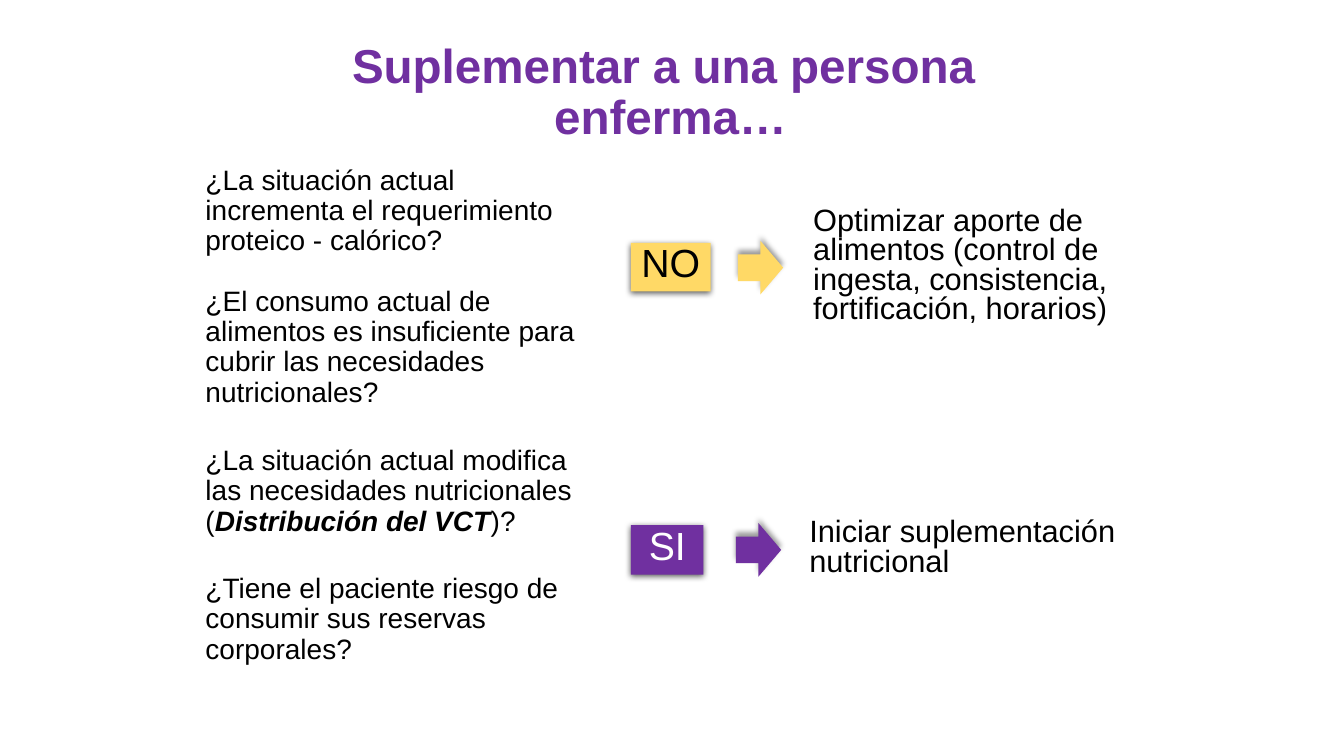
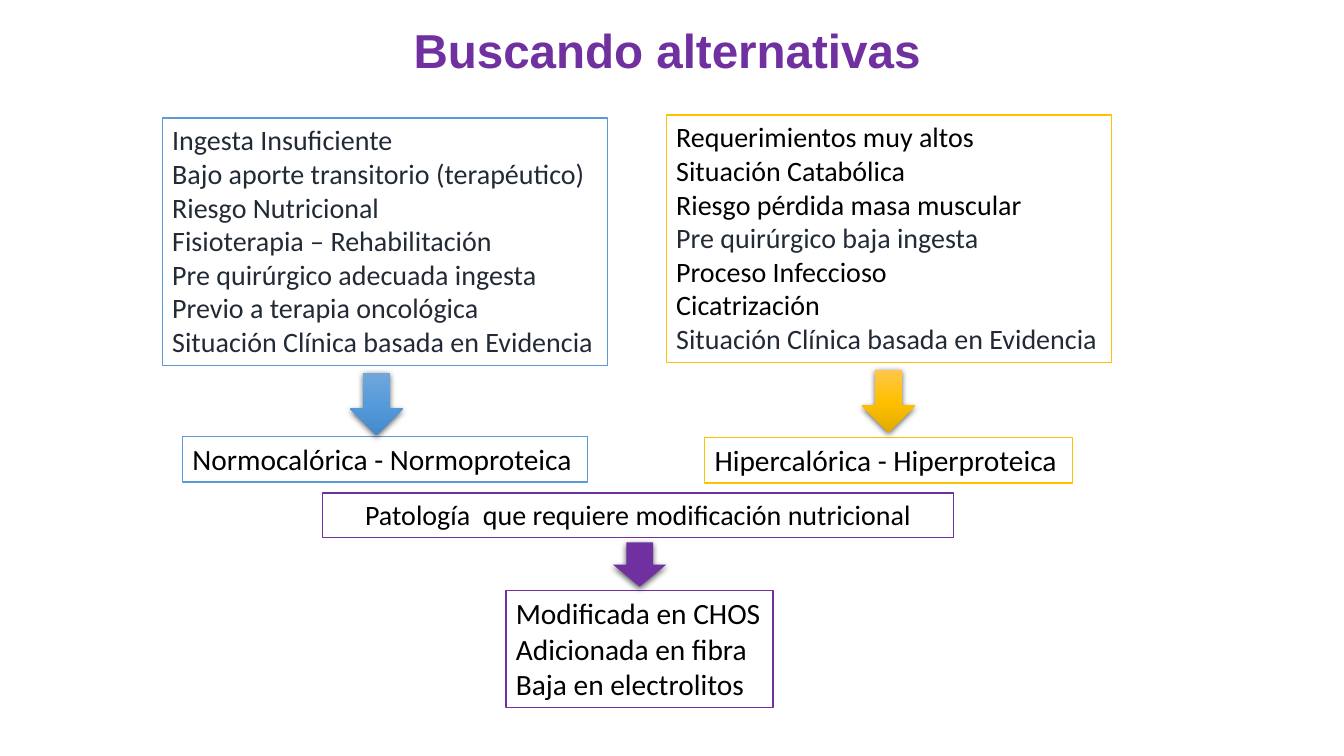
from pptx import Presentation
from pptx.dml.color import RGBColor
from pptx.enum import shapes, text
from pptx.oxml import parse_xml
from pptx.oxml.ns import nsdecls, qn
from pptx.util import Pt

PURPLE, YELLOW, BLUE, GOLD = "7030A0", "FFD966", "5B9BD5", "FFC000"
BLACK, WHITE, DARK = "000000", "FFFFFF", "222A35"
LEFT, MID = text.PP_ALIGN.LEFT, text.PP_ALIGN.CENTER
RECT = shapes.MSO_SHAPE.RECTANGLE
RIGHT = shapes.MSO_SHAPE.RIGHT_ARROW
DOWN = shapes.MSO_SHAPE.DOWN_ARROW

TITLE = dict(name="Arial", size=Pt(34), bold=True)
ASK = dict(name="Arial", size=Pt(20))
REPLY = dict(name="Arial", size=Pt(22))
TAG = dict(name="Arial", size=Pt(28))
LIST = dict(name="Calibri", size=Pt(20))
DIET = dict(name="Calibri", size=Pt(21))
STRONG = dict(bold=True, italic=True)

DROP = (63, 4.5, 1.5, 90)
RISE = (40, 4, 3, 270)

ASKS = [
    (115.2, 73.4, [("¿La situación actual incrementa el requerimiento proteico - calórico?", {})]),
    (201.6, 94.3, [("¿El consumo actual de alimentos es insuficiente para cubrir "
                    "las necesidades nutricionales?", {})]),
    (315.4, 73.4, [("¿La situación actual modifica las necesidades nutricionales (", {}),
                   ("Distribución del VCT", STRONG), (")?", {})]),
    (406.8, 73.4, [("¿Tiene el paciente riesgo de consumir sus reservas corporales?", {})]),
]

PATHS = [
    dict(tag="NO", fill=YELLOW, ink=BLACK, box=(450.7, 173.5, 56.9, 34.6),
         arrow=(527, 172.1), out=(573.8, 144.7, 244.1, 93.6),
         reply="Optimizar aporte de alimentos (control de ingesta, consistencia, "
               "fortificación, horarios)"),
    dict(tag="SI", fill=PURPLE, ink=WHITE, box=(450.7, 375.1, 51.8, 35.3),
         arrow=(525.6, 373.7), out=(571, 367.2, 244.1, 51.1),
         reply="Iniciar suplementación nutricional"),
]

FLOWS = [
    dict(line=BLUE, fill=("71A6DB", "559BDB", "448ACA"), align=LEFT, ink=DARK,
         top=(115.9, 84.2, 318.2, 177.1), arrow=(249.8, 266.4, 38.2, 44.6),
         end=(130.3, 311.8, 289.4, 32.4),
         needs=["Ingesta Insuficiente", "Bajo aporte transitorio (terapéutico)",
                "Riesgo Nutricional", "Fisioterapia – Rehabilitación",
                "Pre quirúrgico adecuada ingesta", "Previo a terapia oncológica",
                "Situación Clínica basada en Evidencia"],
         diets=["Normocalórica - Normoproteica"]),
    dict(line=GOLD, fill=("FFC64B", "FFC000", "E3AB00"), align=LEFT, ink=BLACK,
         top=(475.9, 82.1, 318.2, 177.1), arrow=(615.6, 264.2, 38.2, 44.6),
         end=(503.3, 312.5, 262.8, 32.4),
         needs=["Requerimientos muy altos", "Situación Catabólica",
                "Riesgo pérdida masa muscular", ("Pre quirúrgico baja ingesta", DARK),
                "Proceso Infeccioso", "Cicatrización",
                ("Situación Clínica basada en Evidencia", DARK)],
         diets=["Hipercalórica - Hiperproteica"]),
    dict(line=PURPLE, fill=PURPLE, align=MID, ink=BLACK,
         top=(230.4, 352.1, 450.7, 31.7), arrow=(437.8, 387.4, 38.2, 31.7),
         end=(361.4, 421.9, 190.8, 83.5),
         needs=["Patología  que requiere modificación nutricional"],
         diets=["Modificada en CHOS", "Adicionada en fibra", "Baja en electrolitos"]),
]


def color(code):
    return RGBColor.from_string(code)


def pts(box):
    return [Pt(v) for v in box]


def write(frame, paras, look, ink, align=LEFT, gap=1.0):
    frame.word_wrap = True
    frame.auto_size = text.MSO_AUTO_SIZE.NONE
    frame.vertical_anchor = text.MSO_ANCHOR.TOP
    for i, runs in enumerate(paras):
        para = frame.add_paragraph() if i else frame.paragraphs[0]
        para.alignment, para.line_spacing = align, gap
        para.space_before = Pt(0)
        for words, extra in runs:
            run = para.add_run()
            run.text = words
            for key, val in {**look, **extra}.items():
                setattr(run.font, key, val)
            run.font.color.rgb = color(ink)


def blend(shape, codes):
    shape.fill.gradient()
    old = shape._element.spPr.find(qn("a:gradFill"))
    stops = "".join(f'<a:gs pos="{i * 50000}"><a:srgbClr val="{c}"/></a:gs>'
                    for i, c in enumerate(codes))
    new = parse_xml(f'<a:gradFill {nsdecls("a")} rotWithShape="1"><a:gsLst>{stops}</a:gsLst>'
                    '<a:lin ang="5400000" scaled="0"/></a:gradFill>')
    old.getparent().replace(old, new)


def draw(pool, kind, box, fill, line=None, shade=None):
    shape = pool.add_shape(kind, *pts(box))
    if isinstance(fill, tuple):
        blend(shape, fill)
    else:
        shape.fill.solid()
        shape.fill.fore_color.rgb = color(fill)
    if line:
        shape.line.color.rgb = color(line)
        shape.line.width = Pt(1)
    else:
        shape.line.fill.background()
    shape.shadow.inherit = False
    if shade:
        alpha, blur, dist, turn = shade
        shape._element.spPr.find(qn("a:effectLst")).append(parse_xml(
            f'<a:outerShdw {nsdecls("a")} blurRad="{Pt(blur)}" dist="{Pt(dist)}" '
            f'dir="{turn * 60000}" algn="ctr" rotWithShape="0"><a:srgbClr val="{BLACK}">'
            f'<a:alpha val="{alpha * 1000}"/></a:srgbClr></a:outerShdw>'))
    return shape


def start(deck, words, box):
    slide = deck.slides.add_slide(deck.slide_layouts[5])
    head = slide.shapes.title
    head.left, head.top, head.width, head.height = pts(box)
    write(head.text_frame, [[(words, {})]], TITLE, PURPLE, MID, 0.9)
    return slide.shapes


def choose(deck):
    pool = start(deck, "Suplementar a una persona  enferma…", (193, 26.6, 571.7, 93.6))
    for top, high, runs in ASKS:
        box = pool.add_textbox(*pts((139.7, top, 284.4, high)))
        write(box.text_frame, [runs], ASK, BLACK, gap=0.9)
    for p in PATHS:
        out = draw(pool, RECT, p["out"], WHITE)
        write(out.text_frame, [[(p["reply"], {})]], REPLY, BLACK, gap=0.8)
        tag = draw(pool, RECT, p["box"], p["fill"], shade=DROP)
        write(tag.text_frame, [[(p["tag"], {})]], TAG, p["ink"], MID, 0.8)
        draw(pool, RIGHT, (*p["arrow"], 32.4, 38.2), p["fill"], shade=RISE)


def tint(frame, items):
    for para, item in zip(frame.paragraphs, items):
        if isinstance(item, tuple):
            para.runs[0].font.color.rgb = color(item[1])


def compare(deck):
    pool = start(deck, "Buscando alternativas", (116.6, 15.8, 720, 75.6))
    for f in FLOWS:
        group = pool.add_group_shape().shapes
        needs = [n if isinstance(n, str) else n[0] for n in f["needs"]]
        top = draw(group, RECT, f["top"], WHITE, f["line"])
        write(top.text_frame, [[(n, {})] for n in needs], LIST, f["ink"], f["align"])
        tint(top.text_frame, f["needs"])
        end = draw(group, RECT, f["end"], WHITE, f["line"])
        write(end.text_frame, [[(d, {})] for d in f["diets"]], DIET, BLACK)
        draw(group, DOWN, f["arrow"], f["fill"], shade=DROP)


def main():
    deck = Presentation()
    deck.slide_width, deck.slide_height = Pt(960), Pt(540)
    choose(deck)
    compare(deck)
    deck.save("out.pptx")


if __name__ == "__main__":
    main()
